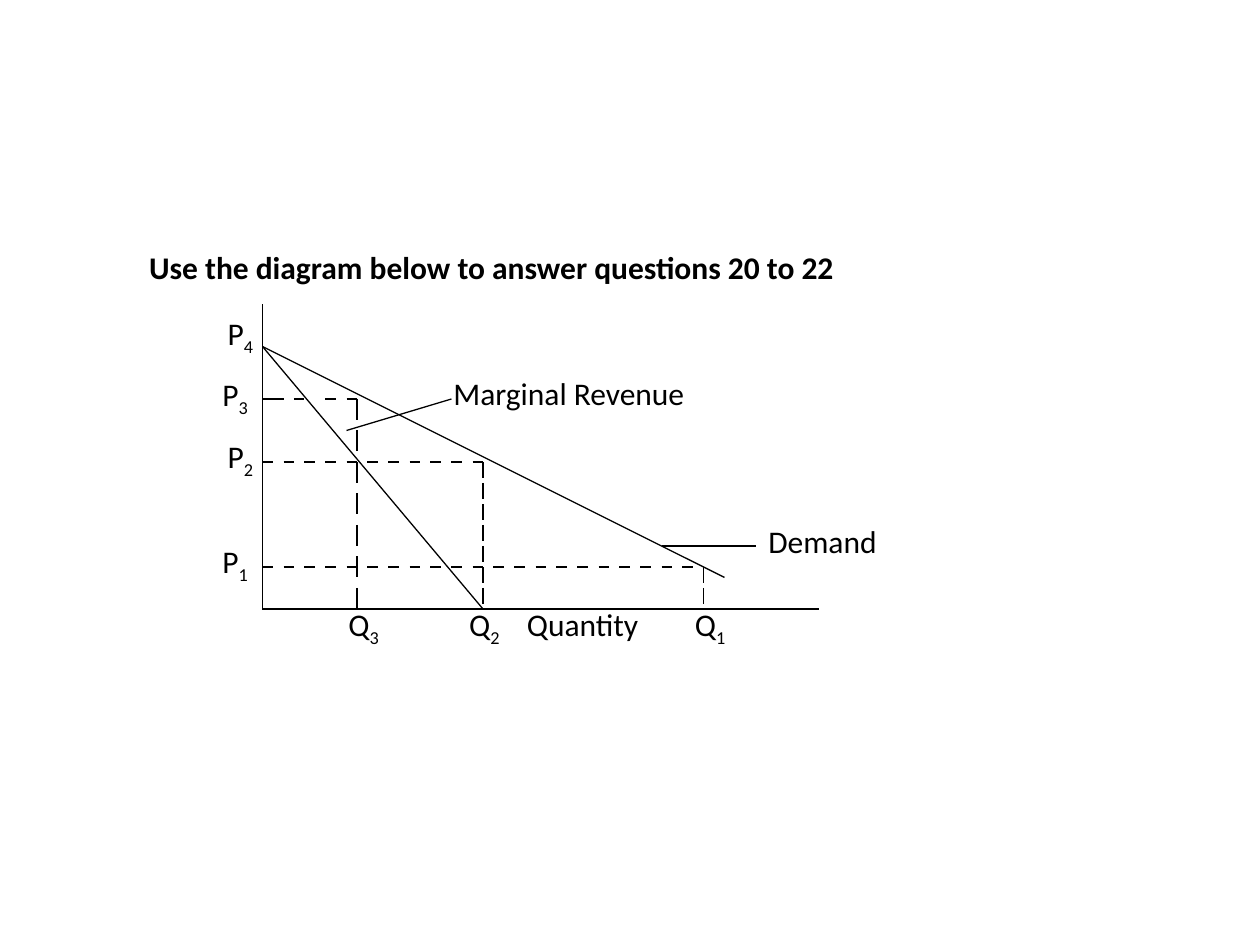
import dataclasses

import pptx
import pptx.dml.color
import pptx.enum.shapes
import pptx.enum.text
import pptx.oxml.ns
import pptx.util
from lxml import etree

Pt = pptx.util.Pt


@dataclasses.dataclass(frozen=True)
class Theme:
    font: str = "Calibri"
    text_size: float = 18
    line_width: float = 0.75
    ink: pptx.dml.color.RGBColor = pptx.dml.color.RGBColor(0, 0, 0)
    paper: pptx.dml.color.RGBColor = pptx.dml.color.RGBColor(255, 255, 255)


THEME = Theme()
LABEL_HEIGHT = 29
ORIGIN_X, ORIGIN_Y = 150, 348


def add_line(slide, start, end):
    line = slide.shapes.add_connector(
        pptx.enum.shapes.MSO_CONNECTOR.STRAIGHT,
        *(Pt(value) for value in (*start, *end)),
    )
    line.line.color.rgb = THEME.ink
    line.line.width = Pt(THEME.line_width)
    etree.SubElement(line._element.spPr, pptx.oxml.ns.qn("a:effectLst"))


def add_horizontal_dashes(slide, y, spans):
    for left, right in spans:
        add_line(slide, (left, y), (right, y))


def add_vertical_dashes(slide, x, spans):
    for top, bottom in spans:
        add_line(slide, (x, top), (x, bottom))


def even_spans(start, count, length, step):
    return [(start + i * step, start + i * step + length) for i in range(count)]


def write_text(shape, text, subscript="", bold=False):
    frame = shape.text_frame
    frame.word_wrap = False
    frame.auto_size = pptx.enum.text.MSO_AUTO_SIZE.SHAPE_TO_FIT_TEXT
    frame.vertical_anchor = pptx.enum.text.MSO_ANCHOR.TOP
    paragraph = frame.paragraphs[0]
    paragraph.alignment = pptx.enum.text.PP_ALIGN.LEFT
    for content, baseline in ((text, None), (subscript, "-25000")):
        if not content:
            continue
        run = paragraph.add_run()
        run.text = content
        run.font.name = THEME.font
        run.font.size = Pt(THEME.text_size)
        run.font.bold = bold
        run.font.color.rgb = THEME.ink
        if baseline:
            run._r.get_or_add_rPr().set("baseline", baseline)


def add_label(slide, left, top, width, text, subscript=""):
    box = slide.shapes.add_textbox(Pt(left), Pt(top), Pt(width), Pt(LABEL_HEIGHT))
    write_text(box, text, subscript=subscript)


def add_title(slide, text):
    title = slide.shapes.title
    title.left, title.top = Pt(78), Pt(138)
    title.width, title.height = Pt(409), Pt(LABEL_HEIGHT)
    write_text(title, text, bold=True)


def add_axes_and_curves(slide):
    origin = (ORIGIN_X, ORIGIN_Y)
    intercept = (ORIGIN_X, 198)
    add_line(slide, (ORIGIN_X, 174), origin)
    add_line(slide, origin, (468, ORIGIN_Y))
    add_line(slide, intercept, (276, ORIGIN_Y))
    add_line(slide, intercept, (414, 330))


def add_guides(slide):
    add_horizontal_dashes(
        slide, 228, [(ORIGIN_X, 162), (168, 174), (186, 192), (198, 204)]
    )
    for y, count in ((264, 11), (324, 21)):
        add_horizontal_dashes(slide, y, even_spans(ORIGIN_X, count, 6, 12))
    for x, top, count, length, step in (
        (204, 228, 7, 12, 18),
        (276, 264, 7, 9, 12),
        (402, 324, 2, 9, 12),
    ):
        add_vertical_dashes(slide, x, even_spans(top, count, length, step))


def add_labels(slide):
    add_line(slide, (198, 246), (258, 228))
    add_line(slide, (378, 312), (432, 312))
    add_label(slide, 252, 210, 153, "Marginal Revenue")
    add_label(slide, 432, 295, 86, "Demand")
    add_label(slide, 294, 342, 79, "Quantity")
    for number, left in (("1", 390), ("2", 261), ("3", 192)):
        add_label(slide, left, 342, 33, "Q", number)
    for number, left, top in (
        ("1", 120, 306), ("2", 123, 246), ("3", 120, 211), ("4", 123, 176)
    ):
        add_label(slide, left, top, 30, "P", number)


def main():
    presentation = pptx.Presentation()
    presentation.slide_width, presentation.slide_height = Pt(720), Pt(540)
    slide = presentation.slides.add_slide(presentation.slide_layouts[5])
    slide.background.fill.solid()
    slide.background.fill.fore_color.rgb = THEME.paper
    add_title(slide, "Use the diagram below to answer questions 20 to 22")
    add_axes_and_curves(slide)
    add_guides(slide)
    add_labels(slide)
    presentation.save("out.pptx")


if __name__ == "__main__":
    main()
